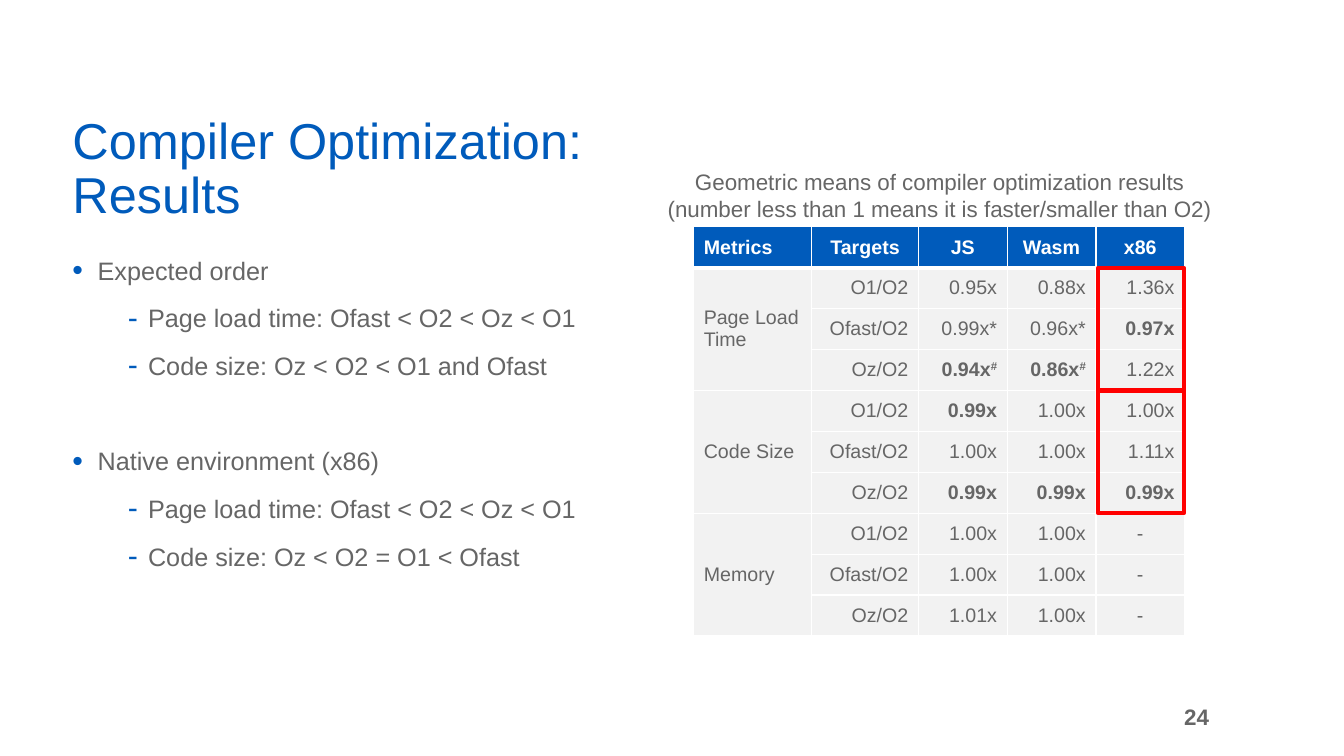
"""Builds the slide of compiler optimization results, with bullets and a table."""
from dataclasses import dataclass

from lxml import etree
from pptx import Presentation
from pptx.dml.color import RGBColor
from pptx.enum.shapes import MSO_SHAPE
from pptx.enum.text import MSO_ANCHOR, PP_ALIGN
from pptx.oxml.ns import qn
from pptx.util import Inches, Pt

RECT = MSO_SHAPE.RECTANGLE
TOP, MIDDLE, BOTTOM = MSO_ANCHOR.TOP, MSO_ANCHOR.MIDDLE, MSO_ANCHOR.BOTTOM
LEFT, CENTER, RIGHT = PP_ALIGN.LEFT, PP_ALIGN.CENTER, PP_ALIGN.RIGHT


@dataclass(frozen=True)
class Theme:
    font: str = "Arial"
    blue: str = "005BBB"
    gray: str = "666666"
    pale: str = "F2F2F2"
    white: str = "FFFFFF"
    red: str = "FF0000"
    title: int = 36
    body: int = 18
    note: int = 16
    cell: int = 14


THEME = Theme()

TITLE = ["Compiler Optimization:", "Results"]
CAPTION = ["Geometric means of compiler optimization results",
           "(number less than 1 means it is faster/smaller than O2)"]
PAGE = "24"
POINTS = [
    ("Expected order", [
        "Page load time: Ofast < O2 < Oz < O1",
        "Code size: Oz < O2 < O1 and Ofast"]),
    ("Native environment (x86)", [
        "Page load time: Ofast < O2 < Oz < O1",
        "Code size: Oz < O2 = O1 < Ofast"]),
]
HEADS = ["Metrics", "Targets", "JS", "Wasm", "x86"]
TARGETS = ["O1/O2", "Ofast/O2", "Oz/O2"]
RESULTS = {
    "Page Load Time": [("0.95x", "0.88x", "1.36x"),
                       ("0.99x*", "0.96x*", "0.97x"),
                       ("0.94x#", "0.86x#", "1.22x")],
    "Code Size": [("0.99x", "1.00x", "1.00x"),
                  ("1.00x", "1.00x", "1.11x"),
                  ("0.99x", "0.99x", "0.99x")],
    "Memory": [("1.00x", "1.00x", "-"),
               ("1.00x", "1.00x", "-"),
               ("1.01x", "1.00x", "-")],
}
BEST = {(2, 4), (3, 2), (3, 3), (4, 2), (6, 2), (6, 3), (6, 4)}
BOXED = ["Page Load Time", "Code Size"]

GRID_X, GRID_Y = 6.88, 2.25
COLS = [1.17, 1.06, 0.88, 0.88, 0.88]
ROW = 0.406
GROUP = len(TARGETS)
BOX_W, BOX_DX = 0.85, 0.02


def add_run(para, text, size, color=THEME.gray, bold=False):
    run = para.add_run()
    run.text = text
    font = run.font
    font.name, font.size, font.bold = THEME.font, Pt(size), bold
    font.color.rgb = RGBColor.from_string(color)
    return run


def add_text(slide, left, top, width, height, anchor=TOP):
    box = slide.shapes.add_textbox(
        Inches(left), Inches(top), Inches(width), Inches(height))
    frame = box.text_frame
    frame.word_wrap = True
    frame.vertical_anchor = anchor
    return frame


def next_para(frame):
    first = frame.paragraphs[0]
    return frame.add_paragraph() if first.runs else first


def add_point(frame, text, mark, indent, hang, gap):
    para = next_para(frame)
    para.line_spacing = 1.3
    para.space_before = Pt(gap)
    props = para._p.get_or_add_pPr()
    props.set("marL", str(Inches(indent)))
    props.set("indent", str(-Inches(hang)))
    tint = etree.SubElement(props, qn("a:buClr"))
    etree.SubElement(tint, qn("a:srgbClr"), val=THEME.blue)
    etree.SubElement(props, qn("a:buSzPct"), val="120000")
    etree.SubElement(props, qn("a:buFont"), typeface=THEME.font)
    etree.SubElement(props, qn("a:buChar"), char=mark)
    add_run(para, text, THEME.body)


def add_border(cell, side, width):
    props = cell._tc.get_or_add_tcPr()
    line = etree.SubElement(props, qn(f"a:ln{side}"), w=str(Pt(width)))
    fill = etree.SubElement(line, qn("a:solidFill"))
    etree.SubElement(fill, qn("a:srgbClr"), val=THEME.white)


def style_cell(cell, row):
    for side in "LRTB":
        thick = (row, side) in {(0, "B"), (1, "T")}
        add_border(cell, side, 3 if thick else 1)
    cell.fill.solid()
    cell.fill.fore_color.rgb = RGBColor.from_string(
        THEME.pale if row else THEME.blue)
    cell.vertical_anchor = MIDDLE


def fill_cell(cell, row, col, text):
    para = cell.text_frame.paragraphs[0]
    if col == 0:
        para.alignment = LEFT
    else:
        para.alignment = CENTER if row == 0 or text == "-" else RIGHT
    color = THEME.gray if row else THEME.white
    bold = row == 0 or (row, col) in BEST
    add_run(para, text.rstrip("#"), THEME.cell, color, bold)
    if text.endswith("#"):
        mark = add_run(para, "#", THEME.cell, color, bold)
        mark.font._element.set("baseline", "30000")


def add_grid(slide):
    lines = [HEADS]
    for name, group in RESULTS.items():
        for target, values in zip(TARGETS, group):
            label = name if target == TARGETS[0] else ""
            lines.append([label, target, *values])
    table = slide.shapes.add_table(
        len(lines), len(COLS), Inches(GRID_X), Inches(GRID_Y),
        Inches(sum(COLS)), Inches(ROW * len(lines))).table
    table.horz_banding = table.first_row = False
    for col, width in zip(table.columns, COLS):
        col.width = Inches(width)
    for r, line in enumerate(lines):
        table.rows[r].height = Inches(ROW)
        for c, text in enumerate(line):
            cell = table.cell(r, c)
            style_cell(cell, r)
            if text:
                fill_cell(cell, r, c, text)
    for r in range(1, len(lines), GROUP):
        table.cell(r, 0).merge(table.cell(r + GROUP - 1, 0))


def add_boxes(slide):
    left = GRID_X + sum(COLS[:-1]) + BOX_DX
    for index, name in enumerate(RESULTS):
        if name in BOXED:
            top = GRID_Y + ROW * (1 + index * GROUP)
            box = slide.shapes.add_shape(
                RECT, Inches(left), Inches(top),
                Inches(BOX_W), Inches(ROW * GROUP))
            box.shadow.inherit = False
            box.fill.background()
            box.line.color.rgb = RGBColor.from_string(THEME.red)
            box.line.width = Pt(3)


def main():
    deck = Presentation()
    deck.slide_width, deck.slide_height = Inches(13.33), Inches(7.5)
    slide = deck.slides.add_slide(deck.slide_layouts[6])

    para = add_text(slide, 0.62, 1.09, 8.19, 1.19, BOTTOM).paragraphs[0]
    para.line_spacing = 0.9
    add_run(para, TITLE[0], THEME.title, THEME.blue)
    para.add_line_break()
    add_run(para, TITLE[1], THEME.title, THEME.blue)

    body = add_text(slide, 0.62, 2.39, 5.68, 4.34)
    for index, (head, items) in enumerate(POINTS):
        add_point(body, head, "•", 0.25, 0.25, 40 if index else 6)
        for item in items:
            add_point(body, item, "-", 0.75, 0.2, 6)

    add_grid(slide)
    add_boxes(slide)

    frame = add_text(slide, 6.44, 1.62, 5.76, 0.64)
    for text in CAPTION:
        para = next_para(frame)
        para.alignment = CENTER
        add_run(para, text, THEME.note)

    para = add_text(slide, 7.59, 6.91, 4.5, 0.4, MIDDLE).paragraphs[0]
    para.alignment = RIGHT
    add_run(para, PAGE, THEME.note, bold=True)
    deck.save("out.pptx")


if __name__ == "__main__":
    main()
